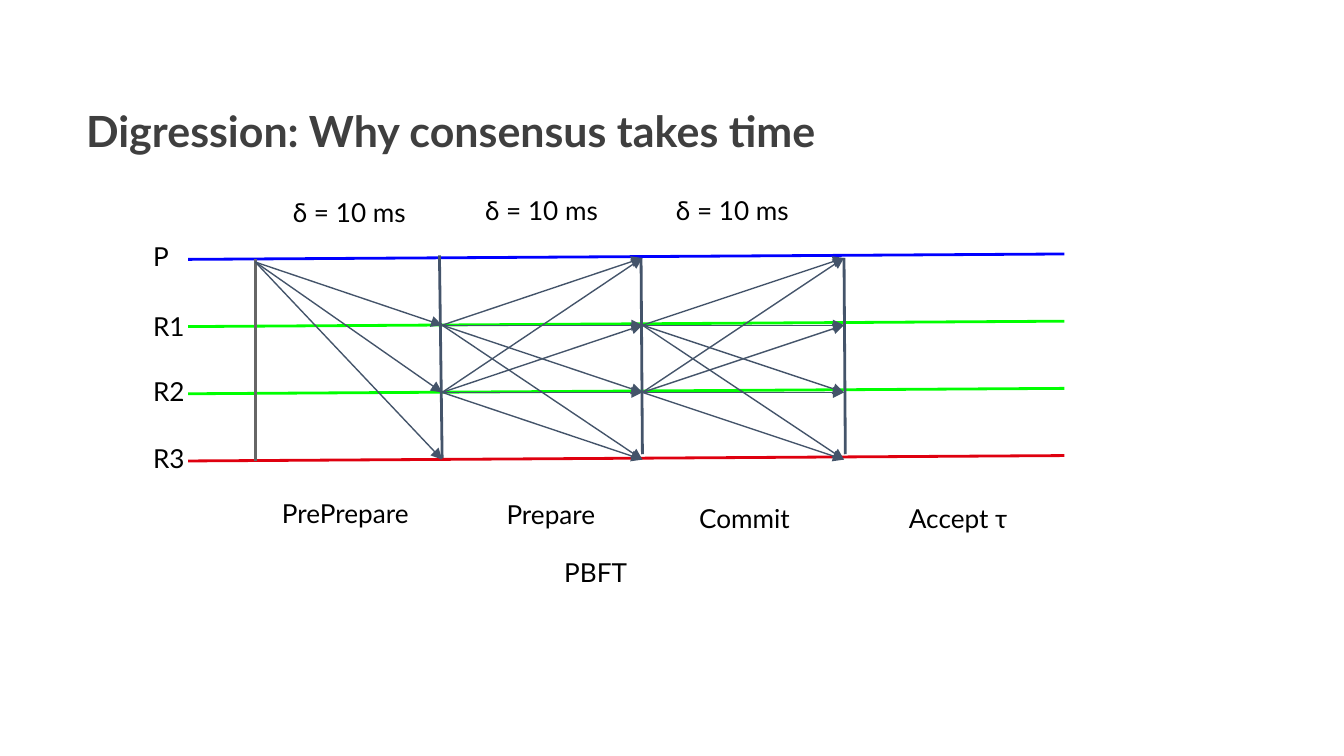
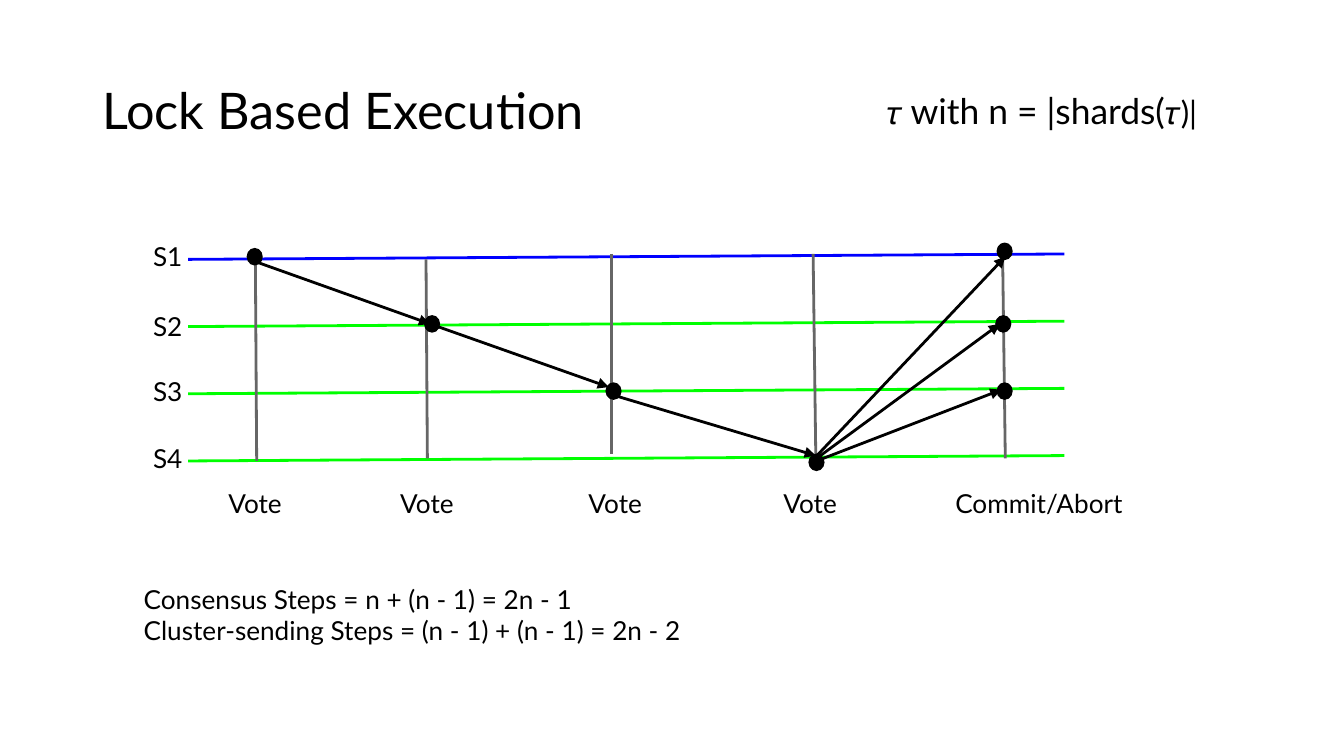
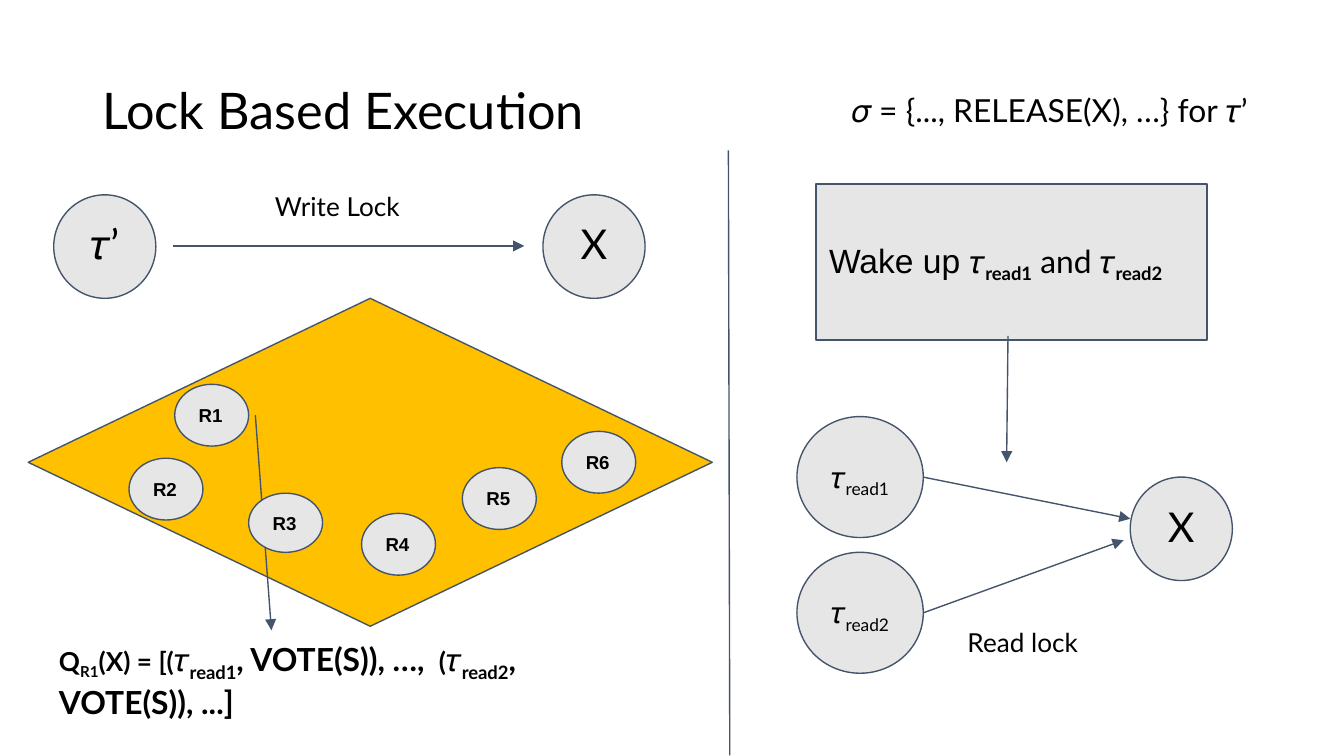
from dataclasses import dataclass

from lxml import etree
from pptx import Presentation
from pptx.dml.color import RGBColor
from pptx.enum.shapes import MSO_CONNECTOR, MSO_SHAPE
from pptx.enum.text import MSO_ANCHOR, MSO_AUTO_SIZE, PP_ALIGN
from pptx.oxml.ns import qn
from pptx.shapes.autoshape import Shape
from pptx.slide import Slide
from pptx.util import Inches, Pt

STRAIGHT = MSO_CONNECTOR.STRAIGHT
ELLIPSE = MSO_SHAPE.OVAL
NODE = MSO_SHAPE.FLOWCHART_CONNECTOR
DIAMOND = MSO_SHAPE.FLOWCHART_DECISION
BOX = MSO_SHAPE.FLOWCHART_PROCESS
TOP, MIDDLE, BOTTOM = MSO_ANCHOR.TOP, MSO_ANCHOR.MIDDLE, MSO_ANCHOR.BOTTOM
LEFT, CENTER = PP_ALIGN.LEFT, PP_ALIGN.CENTER
FIT_SHAPE, NO_FIT = MSO_AUTO_SIZE.SHAPE_TO_FIT_TEXT, MSO_AUTO_SIZE.NONE

BLACK = RGBColor(0x00, 0x00, 0x00)
CHARCOAL = RGBColor(0x3F, 0x3F, 0x3F)
GRAY = RGBColor(0x66, 0x66, 0x66)
SLATE = RGBColor(0x44, 0x54, 0x6A)
PALE = RGBColor(0xE7, 0xE6, 0xE6)
AMBER = RGBColor(0xFF, 0xC0, 0x00)
BLUE = RGBColor(0x00, 0x00, 0xFF)
GREEN = RGBColor(0x00, 0xFF, 0x00)
RED = RGBColor(0xDF, 0x00, 0x0F)

SLIDE_WIDTH = Inches(10)
SLIDE_HEIGHT = SLIDE_WIDTH * 9 // 16
THICK, THIN = 1.5, 0.75
LABEL_HEIGHT = 0.44
LANE_GAP = 0.5
LANE_LABEL_TOPS = (1.69, 2.21, 2.69, 3.19)

Point = tuple[float, float]
Area = tuple[float, float, float, float]


@dataclass(frozen=True)
class Run:
    text: str
    size: float = 14
    bold: bool = False
    sub: bool = False
    font: str = "Lato"
    color: RGBColor = BLACK


@dataclass(frozen=True)
class Layout:
    align: PP_ALIGN = LEFT
    anchor: MSO_ANCHOR = TOP
    auto_size: MSO_AUTO_SIZE = FIT_SHAPE
    inset_x: float = 0.1
    inset_y: float = 0.1
    line_spacing: float | None = None
    space_before: float = 0


@dataclass(frozen=True)
class Line:
    start: Point
    end: Point
    color: RGBColor = SLATE
    width: float = THIN
    arrow: bool = False


@dataclass(frozen=True)
class Figure:
    kind: MSO_SHAPE
    area: Area
    fill: RGBColor = PALE
    line: RGBColor = SLATE


LABEL = Layout()
CENTERED = Layout(align=CENTER)
NOTE = Layout(line_spacing=0.9, space_before=8)
IN_CIRCLE = Layout(CENTER, MIDDLE, NO_FIT, line_spacing=0.9, space_before=8)
IN_NODE = Layout(anchor=MIDDLE, auto_size=NO_FIT)
TITLE = Layout(LEFT, MIDDLE, NO_FIT, 0.07, 0.04, 0.9)
LOW_TITLE = Layout(LEFT, BOTTOM, NO_FIT, 0.07, 0.04, 0.9)


def write(sp: Shape, runs: list[Run], layout: Layout) -> None:
    tf = sp.text_frame
    frame_format = {
        "word_wrap": True,
        "auto_size": layout.auto_size,
        "vertical_anchor": layout.anchor,
        "margin_left": Inches(layout.inset_x),
        "margin_right": Inches(layout.inset_x),
        "margin_top": Inches(layout.inset_y),
        "margin_bottom": Inches(layout.inset_y),
    }
    for name, value in frame_format.items():
        setattr(tf, name, value)
    p = tf.paragraphs[0]
    paragraph_format = {
        "alignment": layout.align,
        "line_spacing": layout.line_spacing,
        "space_before": Pt(layout.space_before),
    }
    for name, value in paragraph_format.items():
        setattr(p, name, value)
    for run in runs:
        for i, text in enumerate(run.text.split("\n")):
            if i:
                p.add_line_break()
            r = p.add_run()
            r.text = text
            font_format = {"name": run.font, "size": Pt(run.size), "bold": run.bold}
            for name, value in font_format.items():
                setattr(r.font, name, value)
            r.font.color.rgb = run.color
            if run.sub:
                r.font._element.set("baseline", "-25000")


def add_text(s: Slide, area: Area, runs: list[Run], layout: Layout = LABEL) -> None:
    write(s.shapes.add_textbox(*map(Inches, area)), runs, layout)


def add_label(s: Slide, left: float, top: float, width: float, text: str,
              layout: Layout = LABEL) -> None:
    add_text(s, (left, top, width, LABEL_HEIGHT), [Run(text)], layout)


def add_line(s: Slide, line: Line) -> None:
    cx = s.shapes.add_connector(STRAIGHT, *map(Inches, line.start + line.end))
    cx.line.color.rgb = line.color
    cx.line.width = Pt(line.width)
    if line.arrow:
        etree.SubElement(cx.line._get_or_add_ln(), qn("a:tailEnd"), type="triangle")
    etree.SubElement(cx._element.spPr, qn("a:effectLst"))


def add_figure(s: Slide, figure: Figure, runs: list[Run] | None = None,
               layout: Layout = IN_CIRCLE) -> None:
    sp = s.shapes.add_shape(figure.kind, *map(Inches, figure.area))
    sp.shadow.inherit = False
    sp.fill.solid()
    sp.fill.fore_color.rgb = figure.fill
    sp.line.color.rgb = figure.line
    sp.line.width = Pt(THIN)
    if runs:
        write(sp, runs, layout)


def add_lanes(s: Slide, lanes: list[tuple[str, RGBColor]]) -> None:
    for i, ((name, color), label_top) in enumerate(zip(lanes, LANE_LABEL_TOPS)):
        y = 1.93 + i * LANE_GAP
        add_line(s, Line((1.4, y), (7.92, y - 0.04), color, THICK))
        add_label(s, 1.04, label_top, 0.45, name)


def add_lock_title(s: Slide) -> None:
    add_text(s, (0.69, 0.3, 8.62, 1.09), [Run("Lock Based Execution", 27)], TITLE)


def build_consensus(s: Slide) -> None:
    add_lanes(s, [("P", BLUE), ("R1", GREEN), ("R2", GREEN), ("R3", RED)])
    add_text(s, (0.57, 0.79, 8.88, 0.42),
             [Run("Digression: Why consensus takes time", 23, True, color=CHARCOAL)],
             LOW_TITLE)

    add_line(s, Line((1.9, 1.93), (1.9, 3.43), GRAY, THICK))
    for start, end in [((3.27, 1.9), (3.29, 3.41)),
                       ((4.77, 1.92), (4.78, 3.38)),
                       ((6.28, 1.92), (6.29, 3.38))]:
        add_line(s, Line(start, end, SLATE, THICK))

    phase_x = (1.9, 3.29, 4.78, 6.28)
    lane_y = [1.92 + i * LANE_GAP for i in range(4)]
    for y in lane_y[1:]:
        add_line(s, Line((phase_x[0], 1.95), (phase_x[1], y), arrow=True))
    for x, next_x in zip(phase_x[1:], phase_x[2:]):
        for sender_y in lane_y[1:3]:
            for receiver_y in lane_y:
                add_line(s, Line((x, sender_y), (next_x, receiver_y), arrow=True))

    for left, top in [(1.93, 1.36), (3.36, 1.35), (4.78, 1.35)]:
        add_label(s, left, top, 1.34, "δ = 10 ms", CENTERED)
    for left, top, phase in [(1.9, 3.6, "PrePrepare"), (3.43, 3.61, "Prepare"),
                             (4.87, 3.64, "Commit"), (6.46, 3.64, "Accept τ")]:
        add_label(s, left, top, 1.34, phase, CENTERED)
    add_label(s, 4.1, 4.04, 0.9, "PBFT")


def build_lock_steps(s: Slide) -> None:
    add_lock_title(s)
    add_lanes(s, [("S1", BLUE), ("S2", GREEN), ("S3", GREEN), ("S4", GREEN)])
    for start, end in [((1.9, 1.93), (1.91, 3.43)), ((3.17, 1.93), (3.18, 3.41)),
                       ((4.55, 1.89), (4.55, 3.38)), ((6.05, 1.89), (6.07, 3.38)),
                       ((7.46, 1.89), (7.48, 3.41))]:
        add_line(s, Line(start, end, GRAY, THICK))
    for start, end in [((1.91, 1.95), (3.2, 2.41)), ((3.2, 2.41), (4.53, 2.88)),
                       ((4.53, 2.93), (6.07, 3.39)), ((6.05, 3.42), (7.48, 1.91)),
                       ((6.05, 3.43), (7.44, 2.41)), ((6.05, 3.44), (7.45, 2.9))]:
        add_line(s, Line(start, end, BLACK, THICK, True))
    for left, top in [(1.84, 1.85), (3.16, 2.35), (4.51, 2.85), (6.02, 3.38),
                      (7.42, 1.81), (7.41, 2.35), (7.42, 2.85)]:
        add_figure(s, Figure(ELLIPSE, (left, top, 0.11, 0.12), BLACK, BLACK))
    for left, width, step in [(1.6, 0.61, "Vote"), (2.88, 0.67, "Vote"),
                              (4.28, 0.67, "Vote"), (5.73, 0.69, "Vote"),
                              (7.01, 1.63, "Commit/Abort")]:
        add_label(s, left, 3.53, width, step)

    add_text(s, (0.97, 4.24, 6.65, 0.67),
             [Run("Consensus Steps = n + (n - 1) = 2n - 1\n"
                  "Cluster-sending Steps = (n - 1) + (n - 1) = 2n - 2")])
    add_text(s, (6.5, 0.6, 2.56, 0.49),
             [Run("𝜏 ", 17), Run("with n = |shards(", 19), Run("𝜏)|", 17)], NOTE)


def build_lock_release(s: Slide) -> None:
    add_lock_title(s)
    add_text(s, (6.24, 0.61, 3.46, 0.46),
             [Run("𝜎 = {..., RELEASE(X), …} for 𝜏’", 17)], NOTE)
    add_line(s, Line((5.42, 1.12), (5.43, 5.62)))

    for left, top, name in [(0.4, 1.45, "𝜏’"), (4.04, 1.45, "X"), (8.41, 3.55, "X")]:
        add_figure(s, Figure(ELLIPSE, (left, top, 0.76, 0.77)), [Run(name, 22)])
    add_label(s, 1.37, 1.32, 2.28, "Write Lock", CENTERED)

    add_figure(s, Figure(DIAMOND, (0.21, 2.22, 5.09, 2.44), AMBER))
    add_figure(s, Figure(NODE, (1.3, 2.86, 0.55, 0.46)),
               [Run("R1", 10, True, font="Arial")], IN_NODE)
    add_line(s, Line((1.9, 3.09), (2.02, 4.69), arrow=True))
    replicas = [(0.96, 3.41, 0.46), (1.85, 3.67, 0.44), (2.69, 3.82, 0.46),
                (3.44, 3.48, 0.46), (4.18, 3.21, 0.46)]
    for number, (left, top, height) in enumerate(replicas, 2):
        add_figure(s, Figure(NODE, (left, top, 0.55, height)),
                   [Run(f"R{number}", 10, True, font="Arial")], IN_NODE)

    add_text(s, (0.34, 4.66, 4.85, 0.77), [
        Run("Q", 14, True), Run("R1", 14, True, True), Run("(X) = [(", 14, True),
        Run("𝜏", 17, True), Run("read1", 17, True, True),
        Run(", VOTE(S)), …, ", 17, True), Run(" (", 14, True),
        Run("𝜏", 17, True), Run("read2", 17, True, True),
        Run(", VOTE(S)), ...]", 17, True),
    ])

    for top, name in [(3.1, "read1"), (4.11, "read2")]:
        add_figure(s, Figure(ELLIPSE, (5.93, top, 0.94, 0.9)),
                   [Run("𝜏", 16), Run(name, 16, sub=True)])
    add_label(s, 7.1, 4.56, 1.88, "Read lock")
    add_figure(s, Figure(BOX, (6.07, 1.37, 2.91, 1.16)), [
        Run("Wake up ", 18, font="Arial"),
        Run("𝜏", 17, True), Run("read1", 17, True, True), Run(" and ", 17),
        Run("𝜏", 17, True), Run("read2", 17, True, True),
    ], IN_NODE)
    for start, end in [((1.29, 1.83), (3.9, 1.83)), ((6.87, 3.55), (8.41, 3.86)),
                       ((6.87, 4.56), (8.36, 4.02)), ((7.5, 2.5), (7.49, 3.44))]:
        add_line(s, Line(start, end, arrow=True))


def main() -> None:
    prs = Presentation()
    prs.slide_width = SLIDE_WIDTH
    prs.slide_height = SLIDE_HEIGHT
    for build in (build_consensus, build_lock_steps, build_lock_release):
        build(prs.slides.add_slide(prs.slide_layouts[6]))
    prs.save("out.pptx")


if __name__ == "__main__":
    main()
